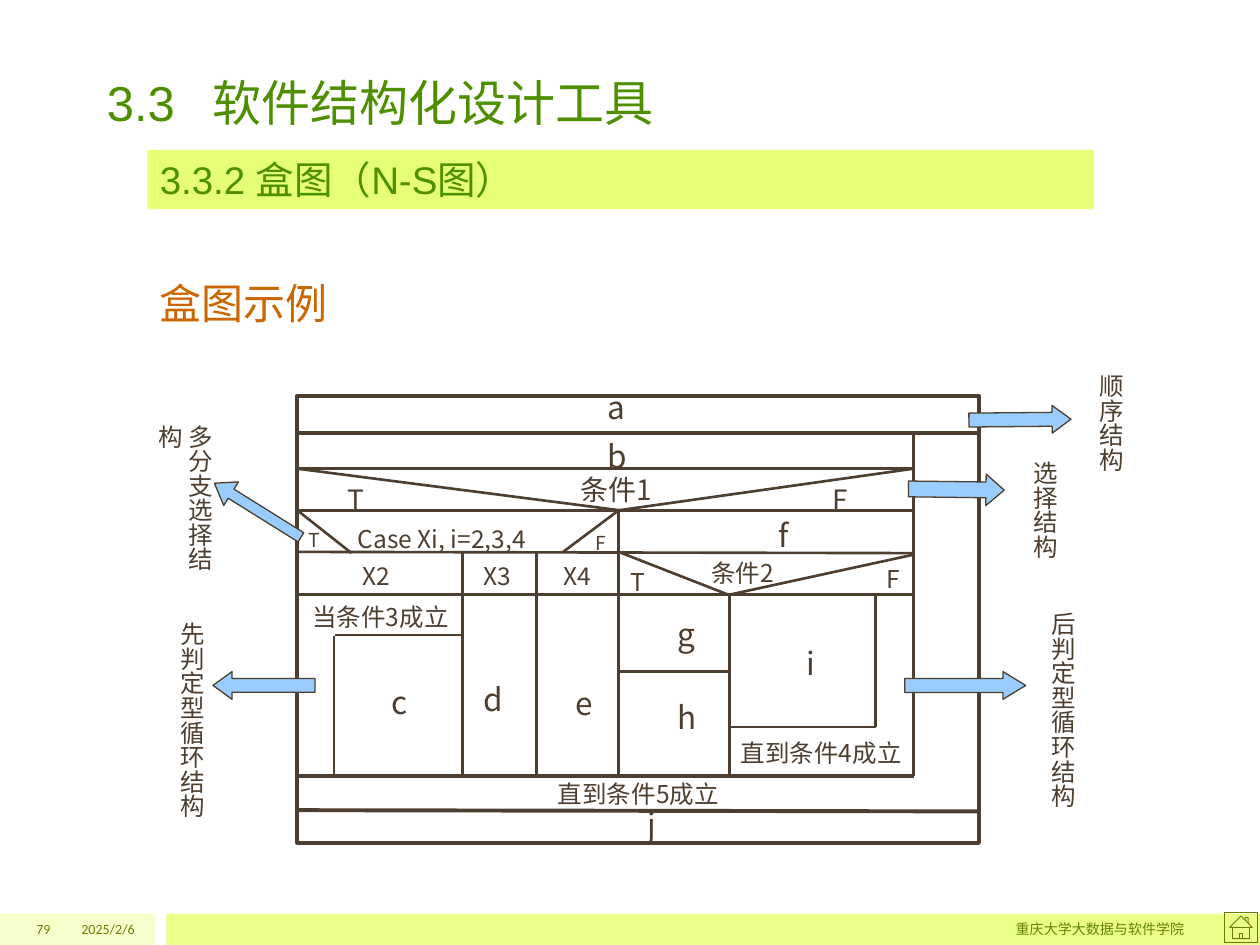
from lxml.etree import SubElement
from pptx import Presentation
from pptx.dml.color import RGBColor
from pptx.enum.shapes import MSO_CONNECTOR, MSO_SHAPE
from pptx.enum.text import MSO_ANCHOR, MSO_AUTO_SIZE, PP_ALIGN
from pptx.oxml.ns import qn
from pptx.util import Pt

PX = 9144
INK, GREEN, FOOT = "4D3E2F", "4E8F00", "688000"
CJK = "Noto Sans CJK SC"


def color(value):
    return RGBColor.from_string(value)


def write(box, text, size, ink=INK, font=CJK, frame={}, layout={}):
    settings = {"word_wrap": True, "auto_size": MSO_AUTO_SIZE.NONE} | frame
    for name, value in settings.items():
        setattr(box.text_frame, name, value)
    para = box.text_frame.paragraphs[0]
    for name, value in ({"alignment": PP_ALIGN.LEFT} | layout).items():
        setattr(para, name, value)
    span = para.add_run()
    span.text = text
    for name, value in {"size": Pt(size), "name": font}.items():
        setattr(span.font, name, value)
    span.font.color.rgb = color(ink)
    if font == CJK:
        SubElement(span.font._element, qn("a:ea")).set("typeface", CJK)
    return para


deck = Presentation()
deck.slide_width, deck.slide_height = 1000 * PX, 750 * PX
page = deck.slides.add_slide(deck.slide_layouts[6])
shapes = page.shapes

panels = [
    (MSO_SHAPE.RECTANGLE, (0, 725, 123, 25), "F6FFCC", None, 0),
    (MSO_SHAPE.RECTANGLE, (132, 725, 868, 25), "E9FF88", None, 0),
    (MSO_SHAPE.ACTION_BUTTON_HOME, (972, 724, 26, 24), None, "677E00", 0.5),
    (MSO_SHAPE.RECTANGLE, (236, 314, 541, 355), None, INK, 2.25),
    (MSO_SHAPE.RECTANGLE, (117, 119, 751, 47), "E6FF77", None, 0),
]
for kind, place, fill, line, weight in panels:
    panel = shapes.add_shape(kind, *[n * PX for n in place])
    panel.shadow.inherit = False
    if fill:
        panel.fill.solid()
        panel.fill.fore_color.rgb = color(fill)
    else:
        panel.fill.background()
    if line:
        panel.line.color.rgb = color(line)
        panel.line.width = Pt(weight)
    else:
        panel.line.fill.background()

write(panel, "3.3.2 盒图（N-S图）", 22, GREEN, "Arial", {"vertical_anchor": MSO_ANCHOR.TOP})

title = shapes.add_textbox(*[n * PX for n in (75, 38, 851, 71)])
heading = write(title, "3.3\t软件结构化设计工具", 28, GREEN, "Arial", {"vertical_anchor": MSO_ANCHOR.BOTTOM})
tabs = SubElement(heading._p.get_or_add_pPr(), qn("a:tabLst"))
tab = SubElement(tabs, qn("a:tab"))
tab.set("pos", str(84 * PX))
tab.set("algn", "l")

subtitle = shapes.add_textbox(*[n * PX for n in (117, 195, 731, 71)])
write(subtitle, "盒图示例", 24, "CC6600", "Arial", layout={"line_spacing": 1.5})

footers = [("79", 0, 50), ("2025/2/6", 50, 67), ("重庆大学大数据与软件学院", 200, 750)]
for text, left, width in footers:
    box = shapes.add_textbox(left * PX, 725 * PX, width * PX, 25 * PX)
    write(box, text, 8, FOOT, "Calibri", {"vertical_anchor": MSO_ANCHOR.MIDDLE}, {"alignment": PP_ALIGN.RIGHT})

rules = {
    2.25: [
        (236, 344, 777, 344), (236, 643, 777, 644),
        (236, 616, 725, 616), (725, 616, 725, 344),
    ],
    1.5: [
        (236, 372, 725, 372), (236, 405, 725, 405), (236, 438, 725, 439), (236, 472, 725, 472),
        (236, 372, 492, 405), (491, 405, 725, 372), (236, 405, 279, 439), (491, 405, 447, 438),
        (491, 438, 578, 472), (579, 472, 726, 440), (491, 405, 491, 616), (367, 438, 367, 616),
        (426, 438, 426, 616), (579, 472, 579, 616), (265, 505, 265, 615), (266, 504, 367, 504),
        (491, 533, 578, 533), (579, 577, 695, 577), (695, 577, 695, 472),
    ],
}
for weight, segments in rules.items():
    for segment in segments:
        rule = shapes.add_connector(MSO_CONNECTOR.STRAIGHT, *[n * PX for n in segment])
        rule.line.color.rgb = color(INK)
        rule.line.width = Pt(weight)
        SubElement(rule._element.spPr, qn("a:effectLst"))

heights = {18: 40, 16: 37, 14: 34, 11: 29}
labels = {
    18: [
        ("a", 472, 303, 49), ("b", 472, 342, 49), ("c", 301, 537, 51), ("d", 374, 535, 80),
        ("e", 447, 538, 44), ("f", 608, 405, 44), ("g", 528, 483, 29), ("h", 528, 549, 51),
        ("i", 630, 506, 80), ("j", 477, 634, 80),
    ],
    16: [("条件1", 423, 370, 132), ("T", 266, 378, 44), ("F", 651, 378, 44)],
    14: [
        ("Case Xi, i=2,3,4", 274, 411, 209), ("X2", 278, 440, 58), ("X3", 374, 440, 59),
        ("X4", 437, 440, 59), ("当条件3成立", 238, 473, 154), ("条件2", 542, 438, 95),
        ("直到条件4成立", 578, 581, 168), ("直到条件5成立", 433, 613, 190),
        ("T", 491, 445, 44), ("F", 694, 443, 44),
    ],
    11: [("F", 463, 417, 28), ("T", 235, 414, 29)],
}
centered = ("条件1", "条件2", "j")
for size, entries in labels.items():
    for text, left, top, width in entries:
        box = shapes.add_textbox(left * PX, top * PX, width * PX, heights[size] * PX)
        align = PP_ALIGN.CENTER if text in centered else PP_ALIGN.LEFT
        write(box, text, size, frame={"word_wrap": size > 11}, layout={"alignment": align})

arrows = [
    ((769, 322, 81, 22), 179.5, 0.5, 0.68),
    ((721, 376, 76, 25), 180.7, 0.5, 0.58),
    ((164, 394, 81, 22), 32, 0.39, 0.71),
    ((169, 533, 81, 22), 0, 0.5, 0.69),
    ((718, 533, 96, 22), 180, 0.5, 0.82),
]
for place, angle, shaft, head in arrows:
    arrow = shapes.add_shape(MSO_SHAPE.LEFT_ARROW, *[n * PX for n in place])
    arrow.rotation = angle
    arrow.adjustments[0], arrow.adjustments[1] = shaft, head
    arrow.shadow.inherit = False
    arrow.fill.solid()
    arrow.fill.fore_color.rgb = color("99CCFF")
    arrow.line.color.rgb = color(INK)
    arrow.line.width = Pt(0.75)

captions = [
    ("顺序结构", 854, 287, 118), ("选择结构", 802, 356, 116), ("多分支选择结构", 131, 327, 149),
    ("先判定型循环结构", 125, 484, 183), ("后判定型循环结构", 816, 476, 222),
]
for text, left, top, height in captions:
    box = shapes.add_textbox(left * PX, top * PX, 44 * PX, height * PX)
    write(box, text, 14, frame={"auto_size": MSO_AUTO_SIZE.SHAPE_TO_FIT_TEXT})
    box.text_frame._txBody.bodyPr.set("vert", "eaVert")

deck.save("out.pptx")
